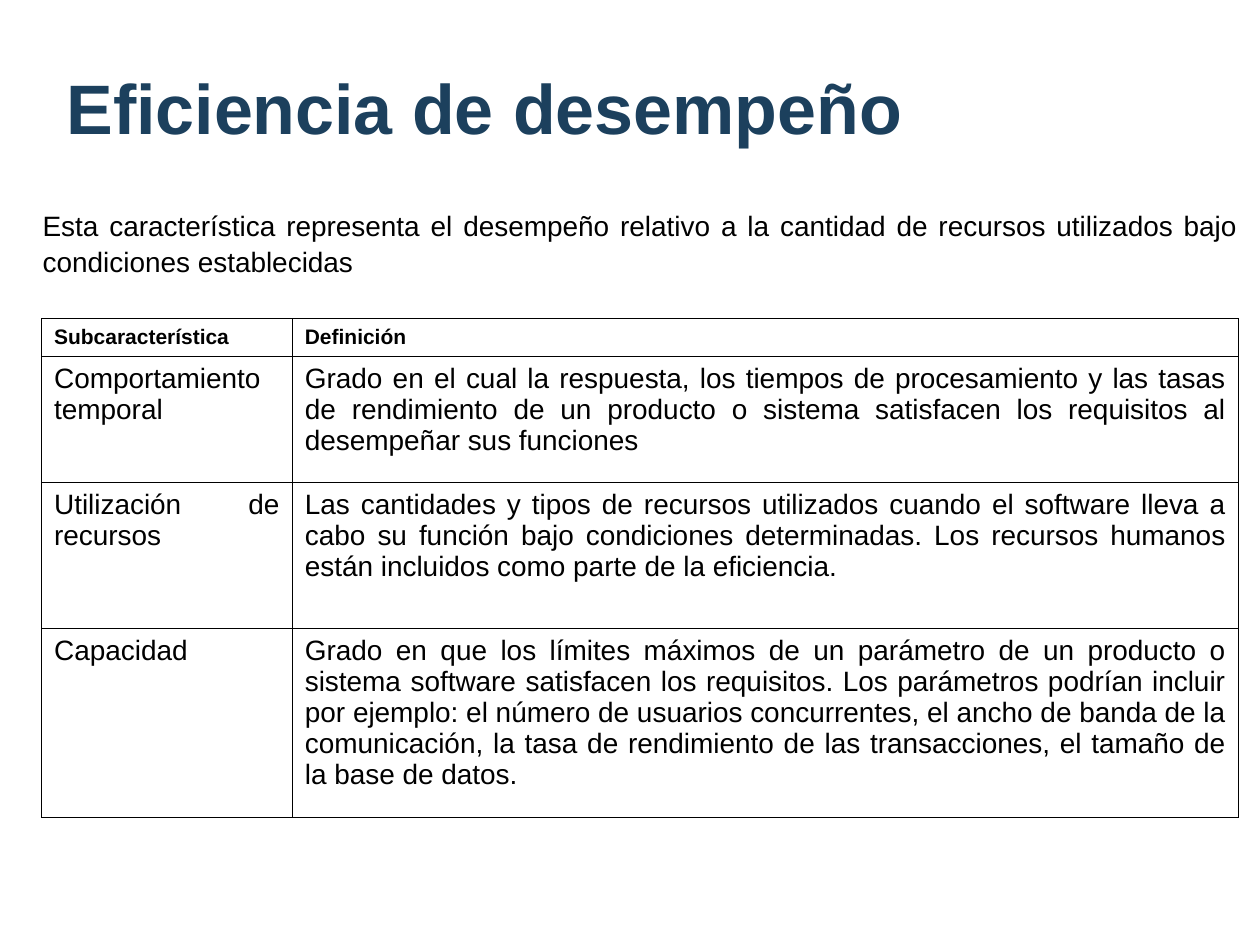
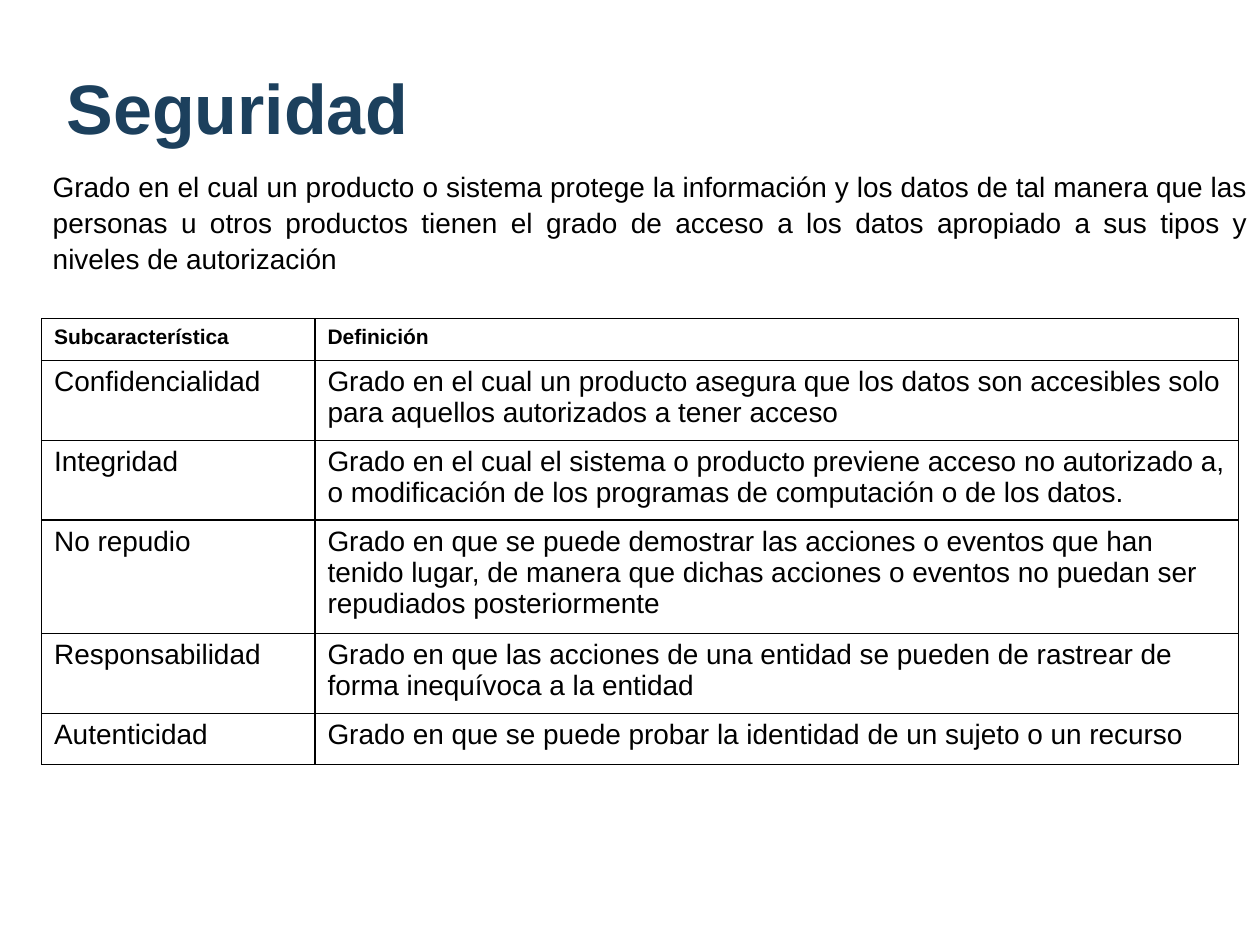
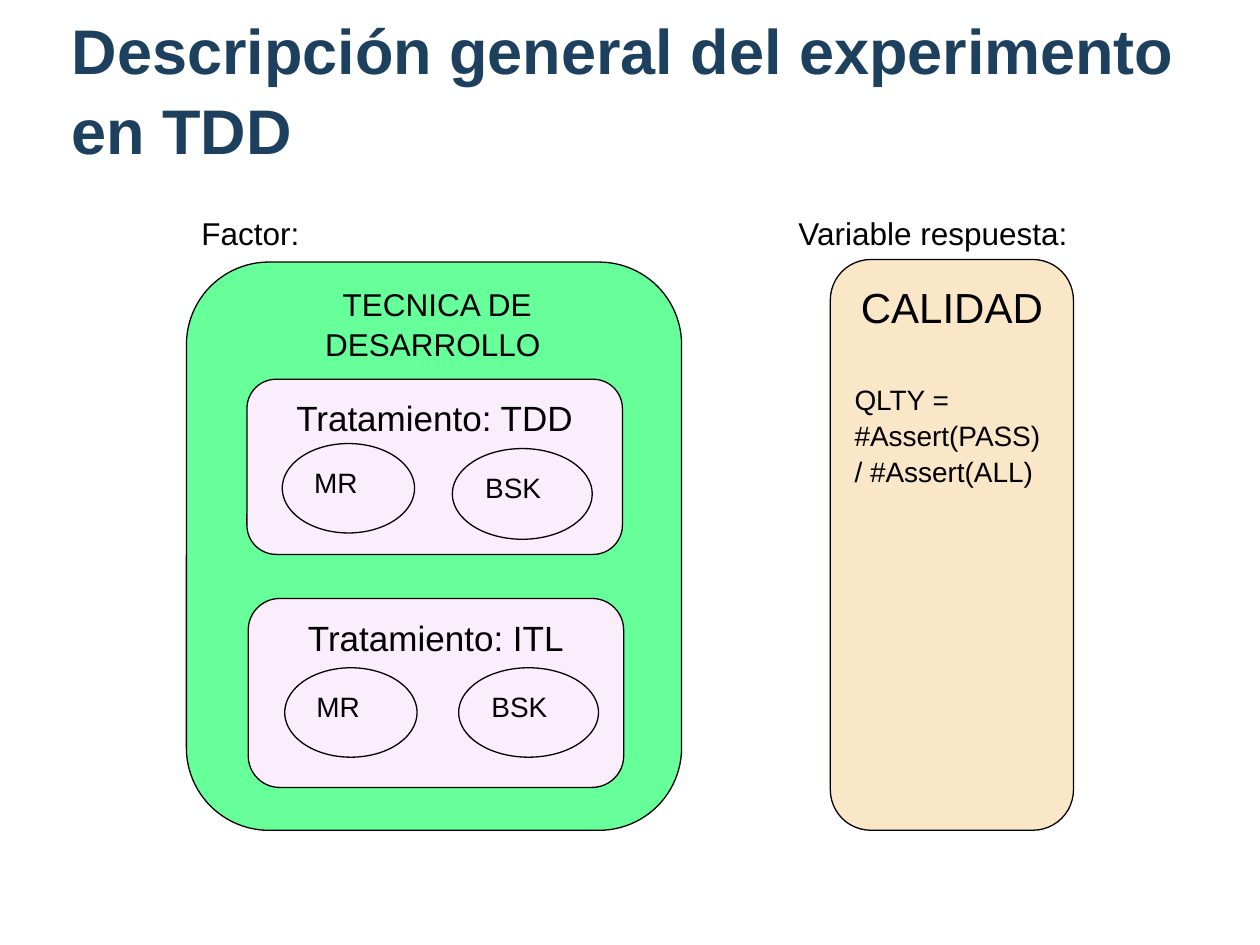
from typing import NamedTuple

from lxml import etree
from pptx import Presentation
from pptx import util as u
from pptx.dml.color import RGBColor
from pptx.enum import shapes, text
from pptx.oxml import ns

WIDTH, HEIGHT = u.Inches(10), u.Inches(7.5)
COL, ROW = WIDTH / 10, HEIGHT / 7.5

FONT = "Arial"
NAVY = RGBColor(0x1C, 0x40, 0x5D)
BLACK = RGBColor(0, 0, 0)
GREEN = RGBColor(0x66, 0xFF, 0x99)
LILAC = RGBColor(0xFA, 0xEE, 0xFC)
CREAM = RGBColor(0xF9, 0xE7, 0xC7)
LINE = u.Pt(0.75)
LEADING = 1.07

LEFT, CENTER, JUSTIFY = text.PP_ALIGN.LEFT, text.PP_ALIGN.CENTER, text.PP_ALIGN.JUSTIFY
ROUND, OVAL = shapes.MSO_SHAPE.ROUNDED_RECTANGLE, shapes.MSO_SHAPE.OVAL


class Box(NamedTuple):
    """Left, top, width and height in grid columns and rows."""
    x: float
    y: float
    w: float
    h: float

    def emu(self) -> list[int]:
        return [round(n * unit) for n, unit in zip(self, (COL, ROW, COL, ROW))]


class Para(NamedTuple):
    words: str
    size: float = 16
    align: text.PP_ALIGN = LEFT
    bold: bool = False
    color: RGBColor = BLACK
    before: float = 0
    leading: float = LEADING


class Node(NamedTuple):
    kind: shapes.MSO_SHAPE
    box: Box
    fill: RGBColor | None
    paras: tuple[Para, ...] = ()


class Definitions(NamedTuple):
    """A quality characteristic and the table of its parts."""
    title: str
    intro: str
    intro_box: Box
    align: text.PP_ALIGN
    cols: tuple[float, ...]
    rows: tuple[float, ...]
    entries: tuple[tuple[str, str], ...]


HEADER = ("Subcaracterística", "Definición")
TITLE_BOX = Box(0.43, 0.21, 9, 1.07)
TABLE_X, TABLE_Y = 0.33, 2.53

CHARACTERISTICS = (
    Definitions(
        "Eficiencia de desempeño",
        "Esta característica representa el desempeño relativo a la cantidad de recursos "
        "utilizados bajo condiciones establecidas",
        Box(0.24, 1.59, 9.68, 0.64), JUSTIFY, (1.99, 7.51), (0.28, 1, 1.16, 1.5),
        (("Comportamiento temporal",
          "Grado en el cual la respuesta, los tiempos de procesamiento y las tasas de "
          "rendimiento de un producto o sistema satisfacen los requisitos al desempeñar "
          "sus funciones"),
         ("Utilización de recursos",
          "Las cantidades y tipos de recursos utilizados cuando el software lleva a cabo "
          "su función bajo condiciones determinadas. Los recursos humanos están incluidos "
          "como parte de la eficiencia."),
         ("Capacidad",
          "Grado en que los límites máximos de un parámetro de un producto o sistema "
          "software satisfacen los requisitos. Los parámetros podrían incluir por ejemplo: "
          "el número de usuarios concurrentes, el ancho de banda de la comunicación, la "
          "tasa de rendimiento de las transacciones, el tamaño de la base de datos."))),
    Definitions(
        "Seguridad",
        "Grado en el cual un producto o sistema protege la información y los datos de tal "
        "manera que las personas u otros productos tienen el grado de acceso a los datos "
        "apropiado a sus tipos y niveles de autorización",
        Box(0.32, 1.28, 9.68, 0.91), LEFT, (2.17, 7.33),
        (0.33, 0.57, 0.6, 0.58, 0.53, 0.41),
        (("Confidencialidad",
          "Grado en el cual un producto asegura que los datos son accesibles solo para "
          "aquellos autorizados a tener acceso"),
         ("Integridad",
          "Grado en el cual el sistema o producto previene acceso no autorizado a, o "
          "modificación de los programas de computación o de los datos."),
         ("No repudio",
          "Grado en que se puede demostrar las acciones o eventos que han tenido lugar, de "
          "manera que dichas acciones o eventos no puedan ser repudiados posteriormente"),
         ("Responsabilidad",
          "Grado en que las acciones de una entidad se pueden de rastrear de forma "
          "inequívoca a la entidad"),
         ("Autenticidad",
          "Grado en que se puede probar la identidad de un sujeto o un recurso"))),
)


def treatment(name: str, box: Box, mr: Box, bsk: Box) -> list[Node]:
    """A treatment panel with its two experimental tasks."""
    return [Node(ROUND, box, LILAC, (Para(f"Tratamiento: {name}", 20, CENTER),)),
            Node(OVAL, mr, None, (Para("MR"),)),
            Node(OVAL, bsk, None, (Para("BSK"),))]


EXPERIMENT = [
    Node(ROUND, Box(1.48, 2.08, 3.93, 4.51), GREEN),
    *treatment("TDD", Box(1.96, 3.01, 2.98, 1.39),
               Box(2.24, 3.52, 1.05, 0.71), Box(3.59, 3.56, 1.11, 0.72)),
    *treatment("ITL", Box(1.97, 4.75, 2.98, 1.5),
               Box(2.26, 5.3, 1.05, 0.71), Box(3.64, 5.3, 1.11, 0.71)),
    Node(ROUND, Box(6.59, 2.06, 1.93, 4.53), CREAM,
         (Para("CALIDAD", 24, CENTER),
          Para("QLTY = #Assert(PASS) / #Assert(ALL)", before=28))),
]

LABELS = (
    (Box(1.79, 2.19, 3.36, 0.26), Para("TECNICA DE DESARROLLO ", 18, CENTER)),
    (Box(6.16, 1.63, 2.56, 0.44), Para("Variable respuesta: ", 18, CENTER)),
    (Box(1.5, 1.63, 3.65, 0.31), Para("Factor:", 18)),
)


def write(tf, *paras: Para) -> None:
    tf.word_wrap = True
    for i, para in enumerate(paras):
        p = tf.add_paragraph() if i else tf.paragraphs[0]
        p.alignment, p.line_spacing = para.align, para.leading
        if para.before:
            p.space_before = u.Pt(para.before)
        r = p.add_run()
        r.text = para.words
        r.font.name, r.font.size, r.font.bold = FONT, u.Pt(para.size), para.bold
        r.font.color.rgb = para.color


def add_label(s, box: Box, para: Para):
    tf = s.shapes.add_textbox(*box.emu()).text_frame
    write(tf, para)
    return tf


def add_title(s, words: str, size: float = 40, box: Box = TITLE_BOX) -> None:
    tf = add_label(s, box, Para(words, size, bold=True, color=NAVY))
    tf.vertical_anchor = text.MSO_ANCHOR.BOTTOM
    tf.margin_top = tf.margin_bottom = u.Inches(0.1)


def add_node(s, node: Node) -> None:
    sp = s.shapes.add_shape(node.kind, *node.box.emu())
    sp.shadow.inherit = False
    sp.line.color.rgb, sp.line.width = BLACK, LINE
    if node.fill is None:
        sp.fill.background()
    else:
        sp.fill.solid()
        sp.fill.fore_color.rgb = node.fill
    if node.paras:
        sp.text_frame.vertical_anchor = text.MSO_ANCHOR.TOP
        write(sp.text_frame, *node.paras)


def outline(cell) -> None:
    """Black borders on all four sides of a table cell."""
    tc_pr = cell._tc.get_or_add_tcPr()
    for side in ("lnL", "lnR", "lnT", "lnB"):
        ln = etree.SubElement(tc_pr, ns.qn(f"a:{side}"), w=str(LINE))
        fill = etree.SubElement(ln, ns.qn("a:solidFill"))
        etree.SubElement(fill, ns.qn("a:srgbClr"), val=str(BLACK))


def add_definitions(s, data: Definitions) -> None:
    box = Box(TABLE_X, TABLE_Y, sum(data.cols), sum(data.rows))
    table = s.shapes.add_table(len(data.rows), len(data.cols), *box.emu()).table
    table.first_row = table.horz_banding = False
    for column, width in zip(table.columns, data.cols):
        column.width = round(width * COL)
    for row, height in zip(table.rows, data.rows):
        row.height = round(height * ROW)
    for i, entry in enumerate((HEADER, *data.entries)):
        for cell, words in zip(table.rows[i].cells, entry):
            outline(cell)
            cell.fill.background()
            write(cell.text_frame, Para(words, 16 if i else 12, data.align,
                                        bold=i == 0, leading=1))


def main() -> None:
    prs = Presentation()
    prs.slide_width, prs.slide_height = WIDTH, HEIGHT
    blank = prs.slide_layouts[6]
    for data in CHARACTERISTICS:
        s = prs.slides.add_slide(blank)
        add_title(s, data.title)
        add_definitions(s, data)
        add_label(s, data.intro_box, Para(data.intro, align=JUSTIFY))
    s = prs.slides.add_slide(blank)
    add_title(s, "Descripción general del experimento en TDD", 36, Box(0.47, 0.5, 9.06, 0.93))
    for node in EXPERIMENT:
        add_node(s, node)
    for box, para in LABELS:
        add_label(s, box, para)
    prs.save("out.pptx")


if __name__ == "__main__":
    main()
